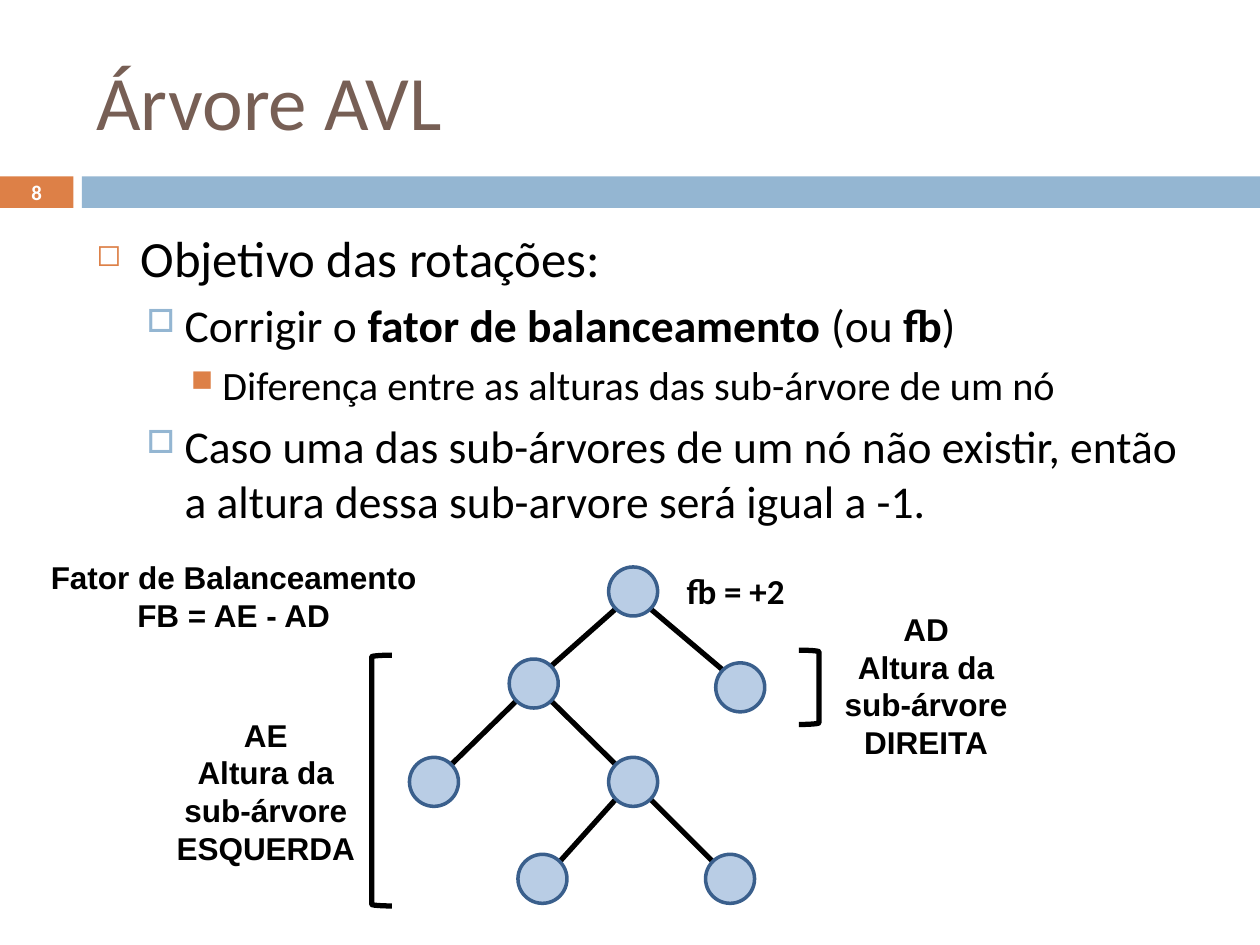
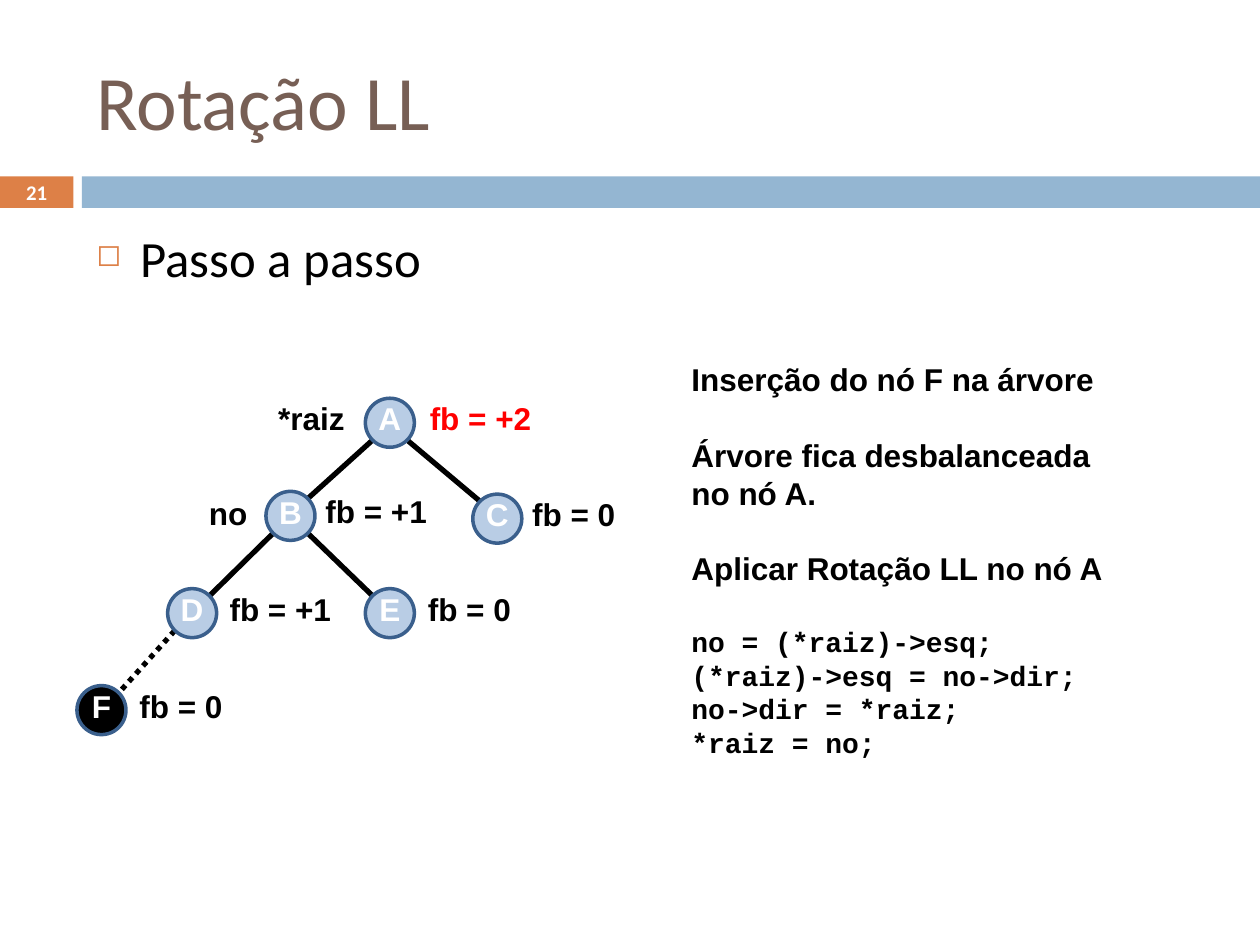
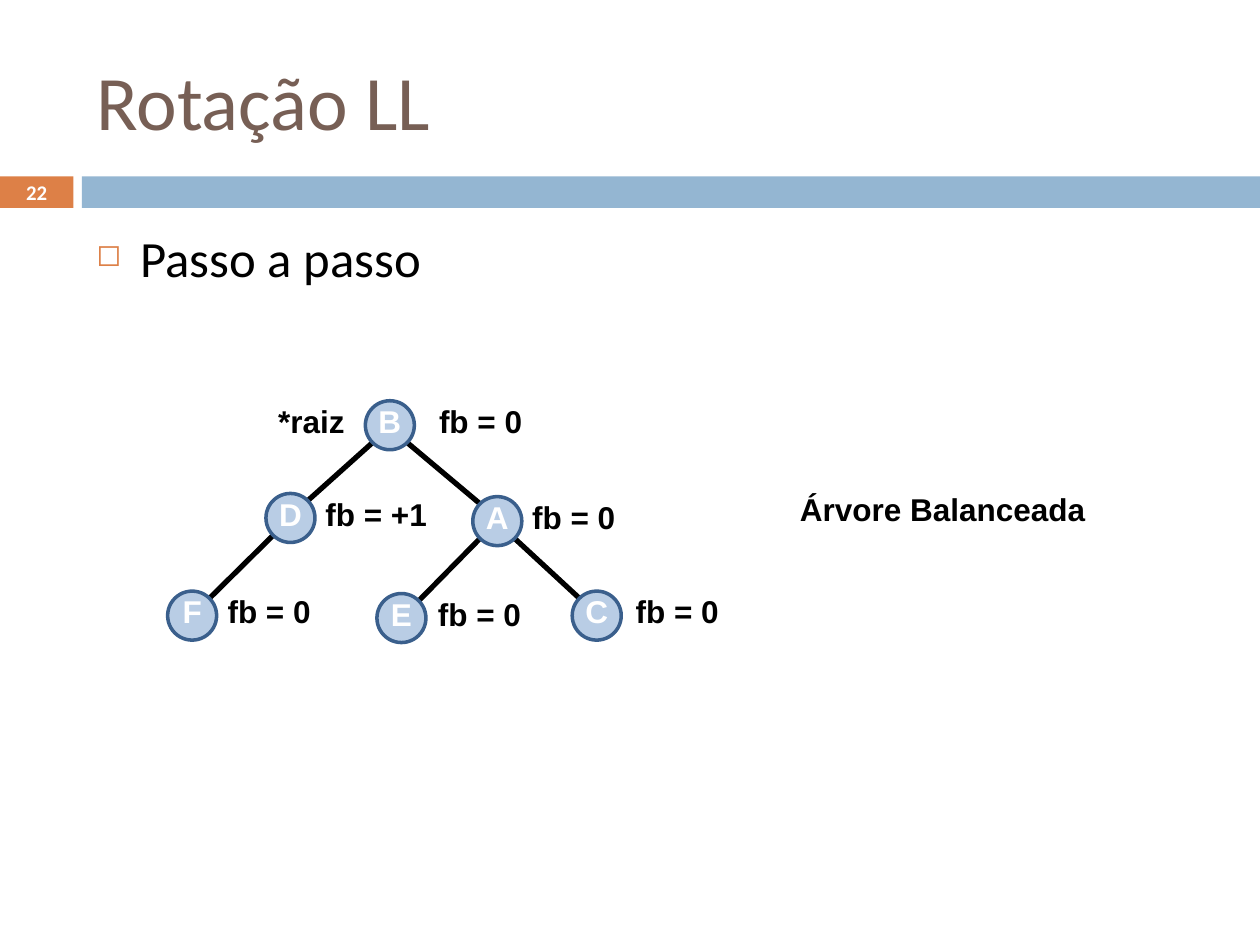
from dataclasses import dataclass

from lxml import etree
from pptx import Presentation
from pptx.dml.color import RGBColor
from pptx.enum.dml import MSO_LINE
from pptx.enum.shapes import MSO_CONNECTOR, MSO_SHAPE
from pptx.enum.text import MSO_ANCHOR, PP_ALIGN
from pptx.oxml.ns import qn
from pptx.util import Pt

RECT, OVAL = MSO_SHAPE.RECTANGLE, MSO_SHAPE.OVAL
LEFT_BRACKET, RIGHT_BRACKET = MSO_SHAPE.LEFT_BRACKET, MSO_SHAPE.RIGHT_BRACKET
STRAIGHT = MSO_CONNECTOR.STRAIGHT
DOTTED = MSO_LINE.ROUND_DOT
LEFT, CENTER = PP_ALIGN.LEFT, PP_ALIGN.CENTER
TOP, MIDDLE = MSO_ANCHOR.TOP, MSO_ANCHOR.MIDDLE


@dataclass(frozen=True)
class Theme:
    """Colours, fonts, type sizes and shared measures, lengths in points."""
    black: str = "000000"
    white: str = "FFFFFF"
    red: str = "FF0000"
    brown: str = "775F55"
    orange: str = "DD8047"
    blue: str = "94B6D2"
    node_fill: str = "B9CDE5"
    node_line: str = "3A5F8C"
    body_font: str = "Calibri"
    label_font: str = "Arial"
    code_font: str = "Courier New"
    title_size: float = 44
    number_size: float = 11.9
    label_size: float = 18
    code_size: float = 16
    root_size: float = 20
    node: float = 28
    edge_inset: float = 10
    label_lift: float = 2.5
    label_height: float = 28.8


@dataclass(frozen=True)
class Level:
    """Look of one bullet level."""
    size: float
    margin: float
    hanging: float
    before: float
    bullet: str
    color: str
    percent: int


T = Theme()
LEVELS = (
    Level(29, 25.2, 25.2, 7, "◻", T.orange, 60),
    Level(26, 50.4, 21.6, 5.5, "□", T.blue, 70),
    Level(23, 72, 18, 5, "■", T.orange, 75),
)


def style(p, size, font=T.label_font, color=T.black, bold=True):
    """Format every run of a paragraph."""
    for r in p.runs:
        r.font.size, r.font.name, r.font.bold = Pt(size), font, bold
        r.font.color.rgb = RGBColor.from_string(color)


def add_box(s, x, y, w, h, anchor=TOP):
    """Add a wrapping text box and return its text frame."""
    tf = s.shapes.add_textbox(Pt(x), Pt(y), Pt(w), Pt(h)).text_frame
    tf.word_wrap, tf.vertical_anchor = True, anchor
    return tf


def add_line_of_text(s, text, x, y, w, h, size, font, color, bold, align=LEFT):
    """Add a single paragraph centred vertically in its box."""
    p = add_box(s, x, y, w, h, MIDDLE).paragraphs[0]
    p.text, p.alignment = text, align
    style(p, size, font, color, bold)


def add_shape(s, kind, x, y, w, h, fill=None, line=None, width=2):
    """Add a preset shape with an optional fill and outline."""
    sp = s.shapes.add_shape(kind, Pt(x), Pt(y), Pt(w), Pt(h))
    sp.shadow.inherit = False
    if fill:
        sp.fill.solid()
        sp.fill.fore_color.rgb = RGBColor.from_string(fill)
    else:
        sp.fill.background()
    if line:
        sp.line.color.rgb, sp.line.width = RGBColor.from_string(line), Pt(width)
    else:
        sp.line.fill.background()
    return sp


def add_slide(prs, title, number):
    """Add a blank slide with the title, the bands and the page number."""
    s = prs.slides.add_slide(prs.slide_layouts[6])
    add_shape(s, RECT, 0, 100.8, 42, 18, T.orange)
    add_shape(s, RECT, 46.8, 100.8, 673.2, 18, T.blue)
    add_line_of_text(s, title, 48, 18, 642, 78, T.title_size, T.body_font, T.brown, False)
    add_line_of_text(s, number, 0, 100, 42, 19.5, T.number_size, T.body_font,
                     T.white, True, CENTER)
    return s


def set_bullet(p, level):
    """Give a paragraph the hanging bullet of its level."""
    pPr = p._p.get_or_add_pPr()
    pPr.set("marL", str(Pt(level.margin)))
    pPr.set("indent", str(-Pt(level.hanging)))
    color = etree.SubElement(pPr, qn("a:buClr"))
    etree.SubElement(color, qn("a:srgbClr"), val=level.color)
    etree.SubElement(pPr, qn("a:buSzPct"), val=str(level.percent * 1000))
    etree.SubElement(pPr, qn("a:buChar"), char=level.bullet)


def add_bullets(s, items):
    """Add the body; in each (level, parts) item every second part is bold."""
    tf = add_box(s, 48, 126, 642, 354)
    for i, (depth, parts) in enumerate(items):
        p = tf.add_paragraph() if i else tf.paragraphs[0]
        level = LEVELS[depth]
        p.level = depth
        set_bullet(p, level)
        if i:
            p.space_before = Pt(level.before)
        for part in parts:
            p.add_run().text = part
        style(p, level.size, T.body_font, bold=False)
        for r in p.runs[1::2]:
            r.font.bold = True


def add_label(s, lines, x, y, w, h, align=CENTER, color=T.black, gap=0, code=()):
    """Add bold label lines, gap points apart, then lines of code."""
    tf = add_box(s, x, y, w, h)
    for i, text in enumerate((*lines, *code)):
        p = tf.add_paragraph() if i else tf.paragraphs[0]
        is_code = i >= len(lines)
        size, font = (T.code_size, T.code_font) if is_code else (T.label_size, T.label_font)
        p.text, p.alignment = text, align
        p.line_spacing = Pt(1.2 * size)
        if gap and 0 < i <= len(lines):
            p.space_before = Pt(gap)
        style(p, size, font, color)


def add_edge(s, parent, child, dotted=False):
    """Join two node centres with a line that stops at their outlines."""
    (x1, y1), (x2, y2) = parent, child
    dx = T.edge_inset if x2 > x1 else -T.edge_inset
    c = s.shapes.add_connector(STRAIGHT, Pt(x1 + dx), Pt(y1 + T.edge_inset),
                               Pt(x2 - dx), Pt(y2 - T.edge_inset))
    c.line.color.rgb, c.line.width = RGBColor.from_string(T.black), Pt(3)
    if dotted:
        c.line.dash_style = DOTTED
    etree.SubElement(c._element.spPr, qn("a:effectLst"))


def add_node(s, center, letter="", fill=T.node_fill):
    """Add a tree node around its centre, with an optional letter."""
    x, y = (v - T.node / 2 for v in center)
    sp = add_shape(s, OVAL, x, y, T.node, T.node, fill, T.node_line)
    if letter:
        tf = sp.text_frame
        tf.word_wrap, tf.vertical_anchor = False, MIDDLE
        tf.margin_left = tf.margin_right = tf.margin_top = 0
        tf.margin_bottom = Pt(2 * T.label_lift)
        p = tf.paragraphs[0]
        p.text, p.alignment = letter, CENTER
        style(p, T.label_size, color=T.white)


def add_tree(s, centers, edges, new="", letters=True):
    """Add edges, written as parent-child pairs, and nodes; new is a dark node."""
    for parent, child in edges:
        add_edge(s, centers[parent], centers[child], child == new)
    for name, center in centers.items():
        add_node(s, center, name if letters else "", T.black if name == new else T.node_fill)


def add_factors(s, centers, factors):
    """Write each balance factor beside its node, from (text, distance, colour)."""
    for name, (text, dx, color) in factors.items():
        x, y = centers[name]
        add_label(s, [f"fb = {text}"], x + dx - 45, y - T.label_lift - T.label_height / 2,
                  90, T.label_height, color=color)


def add_pointer(s, text, x, y):
    """Write a pointer name to the left of a node."""
    add_label(s, [text], x, y - T.label_lift - T.label_height / 2, 55, T.label_height, LEFT)


def build_objective(prs):
    """Slide on the aim of the rotations."""
    s = add_slide(prs, "Árvore AVL", "8")
    add_bullets(s, [
        (0, ["Objetivo das rotações:"]),
        (1, ["Corrigir o ", "fator de balanceamento ", "(ou ", "fb", ")"]),
        (2, ["Diferença entre as alturas das sub-árvore de um nó"]),
        (1, ["Caso uma das sub-árvores de um nó não existir, então a altura "
             "dessa sub-arvore será igual a -1."]),
    ])
    centers = {"A": (361.8, 338), "B": (305, 390.6), "C": (423, 392.8),
               "D": (248, 446.8), "E": (361.8, 446.8),
               "F": (310, 502.2), "G": (417.2, 502.2)}
    add_tree(s, centers, ("AB", "AC", "BD", "BE", "EF", "EG"), letters=False)
    add_shape(s, LEFT_BRACKET, 212.4, 374.4, 11.5, 143.3, line=T.black, width=3)
    add_shape(s, RIGHT_BRACKET, 456.5, 371.5, 11.5, 42.5, line=T.black, width=3)
    add_label(s, ["Fator de Balanceamento", "FB = AE - AD"], 14.4, 315.4, 238.3, 51)
    add_label(s, ["AE", "Altura da sub-árvore ESQUERDA"], 90.7, 405.4, 122.4, 94.3)
    add_label(s, ["AD", "Altura da sub-árvore DIREITA"], 468, 344.9, 122.4, 94.3)
    add_line_of_text(s, "fb = +2", 379.4, 321.8, 82, 31.7, T.root_size, T.body_font,
                     T.black, True, CENTER)


def build_rotation(prs):
    """Slide with the unbalanced tree and the rotation code."""
    s = add_slide(prs, "Rotação LL", "21")
    add_bullets(s, [(0, ["Passo a passo"])])
    centers = {"A": (222.8, 241.6), "B": (166, 294.8), "C": (284.2, 296.4),
               "D": (109.8, 350.4), "E": (222.8, 350.4), "F": (58, 405.8)}
    add_tree(s, centers, ("AB", "AC", "BD", "BE", "DF"), new="F")
    add_factors(s, centers, {
        "A": ("+2", 51.8, T.red), "B": ("+1", 49, T.black), "C": ("0", 43.6, T.black),
        "D": ("+1", 50.4, T.black), "E": ("0", 45.4, T.black), "F": ("0", 45.4, T.black)})
    add_pointer(s, "*raiz", 151.9, centers["A"][1])
    add_pointer(s, "no", 112.3, centers["B"][1] + 1)
    add_label(s, ["Inserção do nó F na árvore", "Árvore fica desbalanceada no nó A.",
                  "Aplicar Rotação LL no nó A"],
              388, 202.3, 264.2, 237.6, LEFT, gap=1.2 * T.label_size,
              code=["no = (*raiz)->esq;", "(*raiz)->esq = no->dir;",
                    "no->dir = *raiz;", "*raiz = no;"])


def build_result(prs):
    """Slide with the balanced tree."""
    s = add_slide(prs, "Rotação LL", "22")
    add_bullets(s, [(0, ["Passo a passo"])])
    centers = {"B": (222.8, 243), "D": (166, 296), "A": (284.2, 297.8),
               "F": (109.8, 351.8), "E": (229.4, 353.2), "C": (341, 351.8)}
    add_tree(s, centers, ("BD", "BA", "DF", "AE", "AC"))
    add_factors(s, centers, {
        "B": ("0", 51.8, T.black), "D": ("+1", 49, T.black), "A": ("0", 43.6, T.black),
        "F": ("0", 44, T.black), "E": ("0", 44.6, T.black), "C": ("0", 46, T.black)})
    add_pointer(s, "*raiz", 151.9, centers["B"][1])
    add_label(s, ["Árvore Balanceada"], 450, 276.5, 202.3, T.label_height, LEFT)


def main():
    """Build and save the three slides."""
    prs = Presentation()
    prs.slide_width, prs.slide_height = Pt(720), Pt(540)
    build_objective(prs)
    build_rotation(prs)
    build_result(prs)
    prs.save("out.pptx")


if __name__ == "__main__":
    main()
